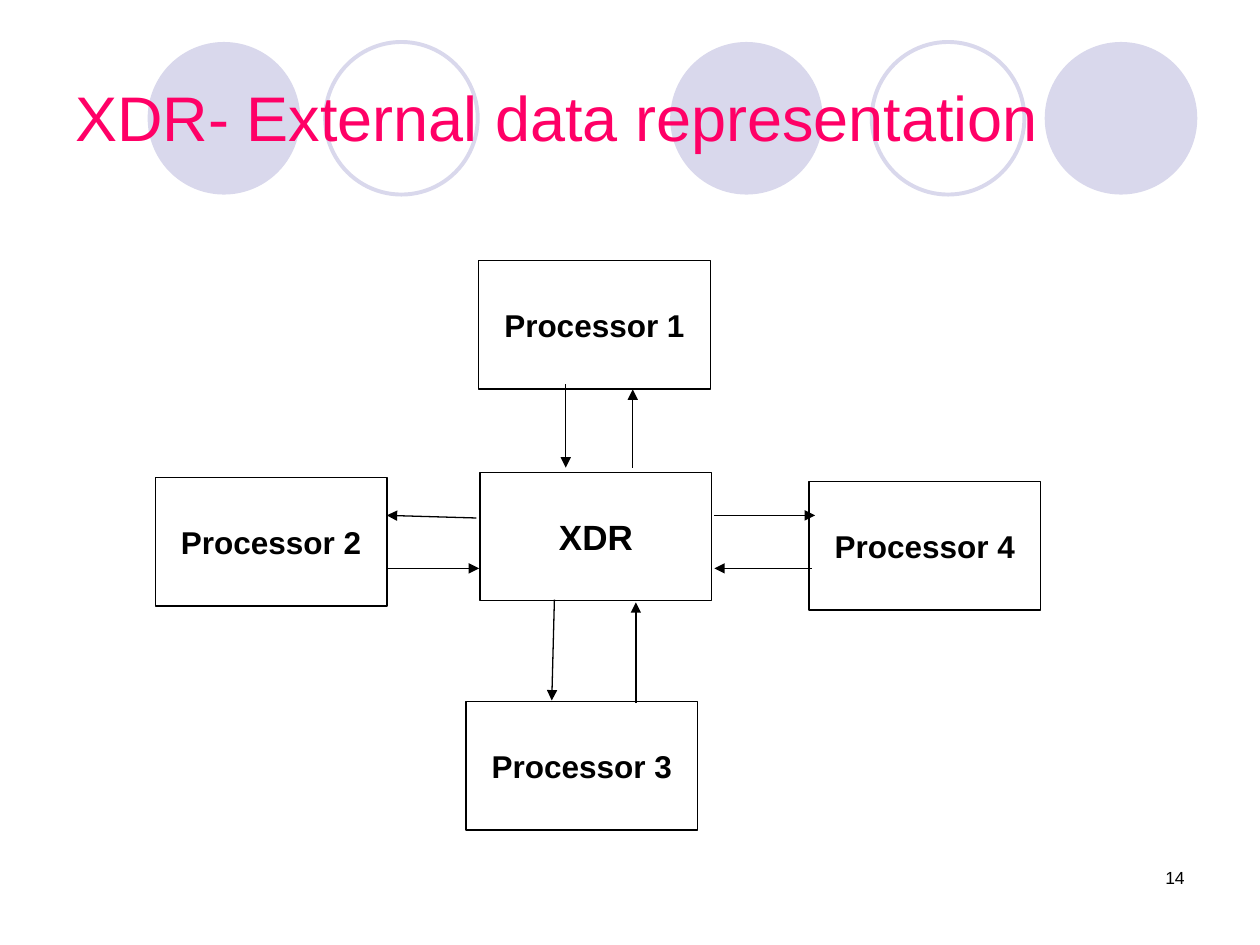
import pptx
import pptx.util
import pptx.dml.color
import pptx.enum.shapes
import pptx.enum.text
import pptx.oxml

Pt = pptx.util.Pt
RGB = pptx.dml.color.RGBColor.from_string
SHAPE = pptx.enum.shapes.MSO_SHAPE
ALIGN = pptx.enum.text.PP_ALIGN
ANCHOR = pptx.enum.text.MSO_ANCHOR
INK = {"lilac": "D9D8EC", "pink": "FF0066", "black": "000000"}
NS = 'xmlns:a="http://schemas.openxmlformats.org/drawingml/2006/main"'

deck = pptx.Presentation()
deck.slide_width, deck.slide_height = Pt(720), Pt(540)
slide = deck.slides.add_slide(deck.slide_layouts[6])
shapes = slide.shapes


def write(shape, text, size, color, align, anchor, bold=False, wrap=True):
    """Put one formatted line of text in a shape."""
    frame = shape.text_frame
    frame.word_wrap = wrap
    frame.vertical_anchor = anchor
    para = frame.paragraphs[0]
    para.alignment = align
    run = para.add_run()
    run.text = text
    run.font.name = "Arial"
    run.font.size = Pt(size)
    run.font.bold = bold
    run.font.color.rgb = RGB(INK[color])


# Row of circles behind the title
for left, solid in [(383, True), (597, True), (84.4, True),
                    (498.2, False), (185.8, False)]:
    disc = shapes.add_shape(SHAPE.OVAL, Pt(left), Pt(24), Pt(87.2), Pt(87.2))
    disc.shadow.inherit = False
    if solid:
        disc.fill.solid()
        disc.fill.fore_color.rgb = RGB(INK["lilac"])
        disc.line.fill.background()
    else:
        disc.fill.background()
        disc.line.color.rgb = RGB(INK["lilac"])
        disc.line.width = Pt(2.25)

# Page number and title
number = shapes.add_textbox(Pt(516), Pt(492), Pt(168), Pt(36))
write(number, "14", 10, "black", ALIGN.RIGHT, ANCHOR.TOP)
title = shapes.add_textbox(Pt(36), Pt(21.6), Pt(648), Pt(90))
write(title, "XDR- External data representation", 36, "pink",
      ALIGN.LEFT, ANCHOR.MIDDLE)

# Processors around the XDR hub
for text, left, top, size in [
    ("Processor 1", 273.5, 149, 18),
    ("Processor 3", 266.3, 401, 18),
    ("Processor 4", 462.3, 275.2, 18),
    ("Processor 2", 88.7, 272.9, 18),
    ("XDR", 274.3, 269.8, 20),
]:
    box = shapes.add_shape(SHAPE.RECTANGLE, Pt(left), Pt(top),
                           Pt(132.5), Pt(73.4))
    box.shadow.inherit = False
    box.fill.background()
    box.line.color.rgb = RGB(INK["black"])
    box.line.width = Pt(0.75)
    write(box, text, size, "black", ALIGN.CENTER, ANCHOR.MIDDLE,
          bold=True, wrap=False)

# A pair of arrows, one each way, between the hub and each processor
for ends in [
    (316.8, 342.7, 315.3, 400.3), (363.4, 401.8, 363.4, 344.2),
    (221.3, 324.8, 273.8, 324.8), (272.2, 296, 221, 294.5),
    (323.3, 219.5, 323.3, 267.2), (361.6, 267.2, 361.6, 222.5),
    (408.2, 294.5, 465.8, 294.5), (464, 324.8, 408.2, 324.8),
]:
    arrow = shapes.add_connector(pptx.enum.shapes.MSO_CONNECTOR.STRAIGHT,
                                 *[Pt(end) for end in ends])
    arrow.line.color.rgb = RGB(INK["black"])
    arrow.line.width = Pt(0.75)
    props = arrow._element.spPr
    tip = pptx.oxml.parse_xml(f'<a:tailEnd {NS} type="triangle"/>')
    arrow.line._get_or_add_ln().append(tip)
    props.append(pptx.oxml.parse_xml(f"<a:effectLst {NS}/>"))

deck.save("out.pptx")
